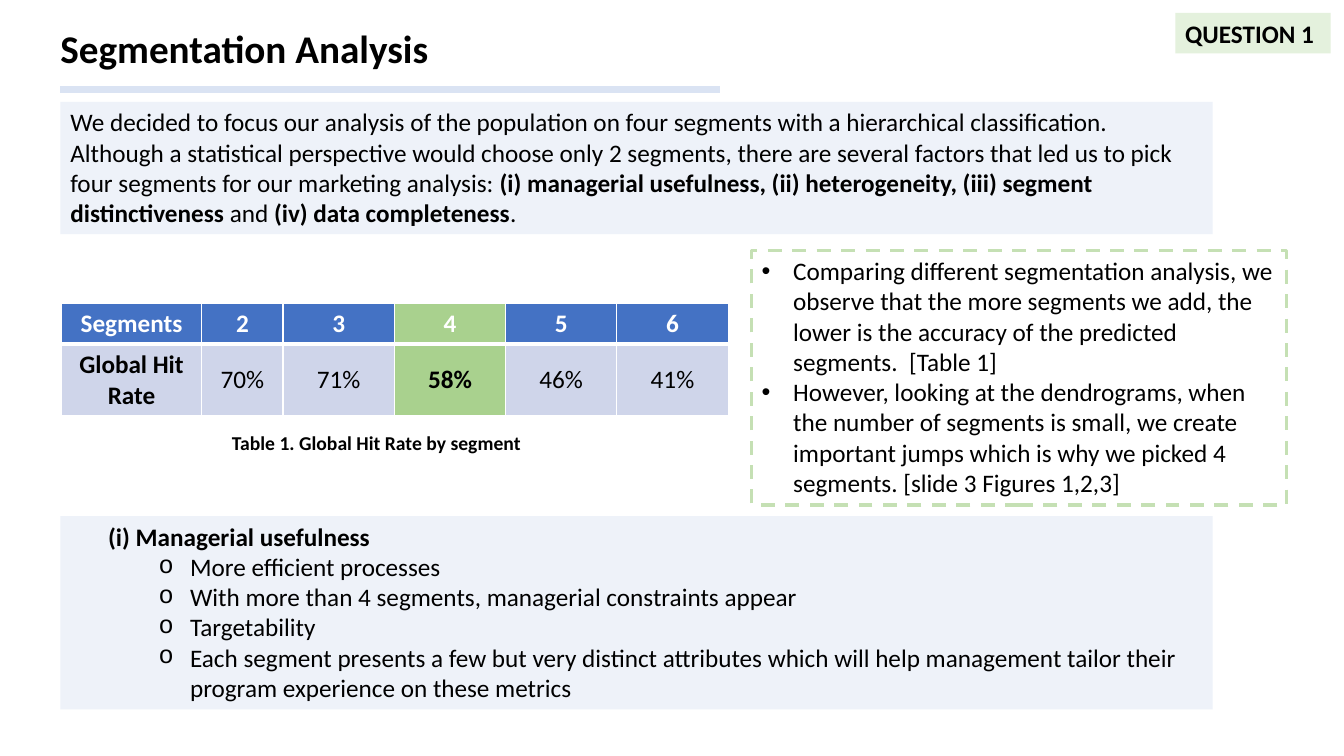
"""Build the segmentation analysis slide."""
from dataclasses import dataclass

from pptx import Presentation
from pptx.dml.color import RGBColor
from pptx.enum import dml, shapes, text
from pptx.oxml import parse_xml
from pptx.oxml import ns
from pptx.util import Pt

TITLE = "Segmentation Analysis"
TAG = ["QUESTION 1"]
CAPTION = ["Table 1. Global Hit Rate by segment"]
INTRO = [
    "We decided to focus our analysis of the population on four segments with a hierarchical classification.",
    [
        ("Although a statistical perspective would choose only 2 segments, there are several factors "
         "that led us to pick four segments for our marketing analysis: ", False),
        ("(i) managerial usefulness, (ii) heterogeneity, (iii) segment distinctiveness ", True),
        ("and ", False),
        ("(iv) data completeness", True),
        (".", False),
    ],
]
NOTES = [
    "Comparing different segmentation analysis, we observe that the more segments we add, "
    "the lower is the accuracy of the predicted segments.  [Table 1]",
    "However, looking at the dendrograms, when the number of segments is small, we create "
    "important jumps which is why we picked 4 segments. [slide 3 Figures 1,2,3]",
]
USE_HEAD = ["(i) Managerial usefulness"]
USE_LIST = [
    "More efficient processes",
    "With more than 4 segments, managerial constraints appear",
    "Targetability",
    "Each segment presents a few but very distinct attributes which will help management "
    "tailor their program experience on these metrics",
]
RATES = [
    ("Segments", "2", "3", "4", "5", "6"),
    ("Global Hit Rate", "70%", "71%", "58%", "46%", "41%"),
]
PICK = 4
COLS = (100.5, 58, 79.5, 79.5, 79.5, 79.5)
ROWS = (29.2, 50.4)
LEFT = 43.2
WIDE = 823


@dataclass(frozen=True)
class Theme:
    """Colours, font and type sizes of the slide."""
    font: str = "Calibri"
    ink: str = "000000"
    white: str = "FFFFFF"
    pale: str = "DAE3F3"
    mint: str = "C5E0B4"
    head: str = "4472C4"
    body: str = "CFD5EA"
    pick: str = "A9D18E"
    big: int = 28
    base: int = 18
    small: int = 14


LOOK = Theme()


def rgb(code):
    """Turn a hex code into a colour."""
    return RGBColor.from_string(code)


def write(frame, paras, size=LOOK.base, color=LOOK.ink, bold=False, align=text.PP_ALIGN.LEFT,
          indent=0, hang=0, mark=None, face="Arial", more=False):
    """Fill a text frame with paragraphs, or add them when more is set."""
    frame.word_wrap = True
    for i, para in enumerate(paras):
        line = frame.add_paragraph() if i or more else frame.paragraphs[0]
        line.alignment = align
        props = line._p.get_or_add_pPr()
        props.set("marL", str(Pt(indent)))
        props.set("indent", str(Pt(-hang)))
        if mark:
            props.append(parse_xml(f'<a:buFont {ns.nsdecls("a")} typeface="{face}"/>'))
            props.append(parse_xml(f'<a:buChar {ns.nsdecls("a")} char="{mark}"/>'))
        for words, strong in [(para, bold)] if isinstance(para, str) else para:
            run = line.add_run()
            run.text = words
            font = run.font
            font.name, font.size, font.bold = LOOK.font, Pt(size), strong
            font.color.rgb = rgb(color)


def panel(slide, box, fill=None):
    """Add a rectangle with a see-through fill or none."""
    item = slide.shapes.add_shape(shapes.MSO_SHAPE.RECTANGLE, *map(Pt, box))
    item.shadow.inherit = False
    item.line.fill.background()
    item.text_frame.vertical_anchor = text.MSO_ANCHOR.TOP
    if fill:
        item.fill.solid()
        item.fill.fore_color.rgb = rgb(fill)
        tone = item._element.spPr.find(".//" + ns.qn("a:srgbClr"))
        tone.append(parse_xml(f'<a:alpha {ns.nsdecls("a")} val="45000"/>'))
    else:
        item.fill.background()
    return item


def edge(cell, row):
    """Draw white cell borders, thick between the two rows."""
    props = cell._tc.get_or_add_tcPr()
    thick = "B" if row == 0 else "T"
    for i, side in enumerate("LRTB"):
        width = Pt(3 if side == thick else 1)
        props.insert(i, parse_xml(
            f'<a:ln{side} {ns.nsdecls("a")} w="{width}"><a:solidFill>'
            f'<a:srgbClr val="{LOOK.white}"/></a:solidFill></a:ln{side}>'))


def add_rates(slide):
    """Add the hit rate table."""
    grid = slide.shapes.add_table(len(ROWS), len(COLS), Pt(LEFT + 0.5), Pt(216.7),
                                  Pt(sum(COLS)), Pt(sum(ROWS))).table
    for col, width in zip(grid.columns, COLS):
        col.width = Pt(width)
    for r, (row, high) in enumerate(zip(RATES, ROWS)):
        grid.rows[r].height = Pt(high)
        for c, value in enumerate(row):
            cell = grid.cell(r, c)
            chosen = RATES[0][c] == str(PICK)
            cell.vertical_anchor = text.MSO_ANCHOR.MIDDLE
            cell.fill.solid()
            cell.fill.fore_color.rgb = rgb(LOOK.pick if chosen else LOOK.body if r else LOOK.head)
            write(cell.text_frame, [value], color=LOOK.ink if r else LOOK.white,
                  bold=r == 0 or c == 0 or chosen, align=text.PP_ALIGN.CENTER)
            edge(cell, r)


def main():
    """Lay out the slide and save it."""
    deck = Presentation()
    deck.slide_width, deck.slide_height = Pt(960), Pt(540)
    slide = deck.slides.add_slide(deck.slide_layouts[5])

    title = slide.shapes.title
    title.left, title.top, title.width, title.height = map(Pt, (-20, 13.7, 389, 41))
    title.text_frame.auto_size = text.MSO_AUTO_SIZE.NONE
    title.text_frame.vertical_anchor = text.MSO_ANCHOR.TOP
    write(title.text_frame, [TITLE], size=LOOK.big, bold=True, align=text.PP_ALIGN.CENTER)

    use = panel(slide, (LEFT, 368.6, WIDE, 138.2), LOOK.pale).text_frame
    write(use, USE_HEAD, bold=True, indent=27)
    write(use, USE_LIST, indent=85.5, hang=22.5, mark="o", face="Courier New", more=True)

    rule = slide.shapes.add_connector(shapes.MSO_CONNECTOR.STRAIGHT,
                                      Pt(LEFT), Pt(64), Pt(514), Pt(64))
    rule.line.color.rgb = rgb(LOOK.pale)
    rule.line.width = Pt(5)
    rule._element.spPr.append(parse_xml(f'<a:effectLst {ns.nsdecls("a")}/>'))

    write(panel(slide, (LEFT, 72.7, WIDE, 94.5), LOOK.pale).text_frame, INTRO)
    add_rates(slide)

    notes = panel(slide, (537, 179, 382, 181.7))
    notes.line.color.rgb = rgb(LOOK.mint)
    notes.line.width = Pt(2.5)
    notes.line.dash_style = dml.MSO_LINE.DASH
    write(notes.text_frame, NOTES, indent=22.5, hang=22.5, mark="•")

    label = slide.shapes.add_textbox(*map(Pt, (158.6, 304, 321, 24.5)))
    write(label.text_frame, CAPTION, size=LOOK.small, bold=True)
    write(panel(slide, (839.5, 9.2, 111, 29), LOOK.mint).text_frame, TAG, bold=True)
    deck.save("out.pptx")


if __name__ == "__main__":
    main()
